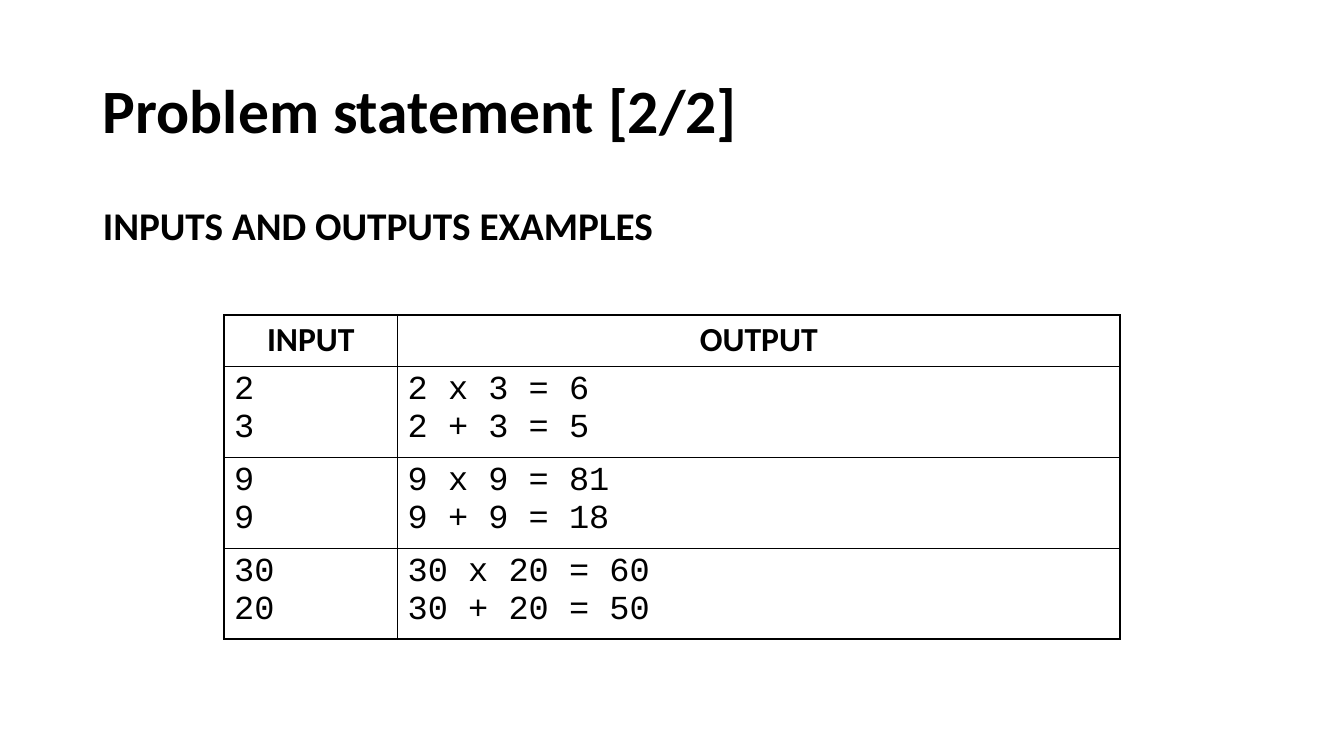
from dataclasses import dataclass

from lxml.etree import SubElement
from pptx import Presentation
from pptx.dml.color import RGBColor
from pptx.enum.text import MSO_ANCHOR as Anchor, PP_ALIGN as Align
from pptx.oxml.ns import qn
from pptx.util import Inches, Pt


@dataclass(frozen=True)
class Theme:
    ink: str = "000000"
    paper: str = "FFFFFF"
    text_font: str = "Calibri"
    code_font: str = "Courier New"
    title_size: int = 44
    heading_size: int = 28
    table_size: int = 24
    border_width: int = 1


class SlideBuilder:
    COLUMNS = ROWS = 12

    def __init__(self, deck, theme):
        self.theme = theme
        self.column = deck.slide_width / self.COLUMNS
        self.row = deck.slide_height / self.ROWS
        self.slide = deck.slides.add_slide(deck.slide_layouts[6])
        background = self.slide.background.fill
        background.solid()
        background.fore_color.rgb = RGBColor.from_string(theme.paper)

    def place(self, left, top, width, height):
        return (round(left * self.column), round(top * self.row),
                round(width * self.column), round(height * self.row))

    def style(self, paragraph, size, family, bold):
        font = paragraph.font
        font.size, font.name, font.bold = Pt(size), family, bold
        font.color.rgb = RGBColor.from_string(self.theme.ink)

    def text(self, wording, box, size, anchor=Anchor.TOP, space_before=0):
        frame = self.slide.shapes.add_textbox(*self.place(*box)).text_frame
        frame.word_wrap = True
        frame.vertical_anchor = anchor
        paragraph = frame.paragraphs[0]
        paragraph.text = wording
        paragraph.line_spacing = 0.9
        paragraph.space_before = Pt(space_before)
        self.style(paragraph, size, self.theme.text_font, True)

    def border(self, cell):
        properties = cell._tc.get_or_add_tcPr()
        for position, side in enumerate(("lnL", "lnR", "lnT", "lnB")):
            line = SubElement(properties, qn(f"a:{side}"),
                              w=str(Pt(self.theme.border_width)))
            fill = SubElement(line, qn("a:solidFill"))
            SubElement(fill, qn("a:srgbClr"), val=self.theme.ink)
            properties.remove(line)
            properties.insert(position, line)

    def table(self, records, left, top, widths, heights):
        box = self.place(left, top, sum(widths), sum(heights))
        table = self.slide.shapes.add_table(len(records), len(widths), *box).table
        table.horz_banding = False
        for column, width in zip(table.columns, widths):
            column.width = round(width * self.column)
        for number, (row, record, height) in enumerate(zip(table.rows, records, heights)):
            row.height = round(height * self.row)
            header = number == 0
            family = self.theme.text_font if header else self.theme.code_font
            for cell, wording in zip(row.cells, record):
                cell.text = wording
                cell.fill.background()
                self.border(cell)
                for paragraph in cell.text_frame.paragraphs:
                    paragraph.alignment = Align.CENTER if header else Align.LEFT
                    self.style(paragraph, self.theme.table_size, family, header)


def main():
    deck = Presentation()
    deck.slide_width, deck.slide_height = Inches(13.33), Inches(7.5)
    theme = Theme()
    page = SlideBuilder(deck, theme)

    page.text("Problem statement [2/2]", (0.83, 0.64, 10.35, 2.32),
              theme.title_size, Anchor.MIDDLE)
    page.text("INPUTS AND OUTPUTS EXAMPLES", (0.83, 3.2, 10.35, 7.62),
              theme.heading_size, space_before=10)

    examples = [
        ("INPUT", "OUTPUT"),
        ("2\n3", "2 x 3 = 6\n2 + 3 = 5"),
        ("9\n9", "9 x 9 = 81\n9 + 9 = 18"),
        ("30\n20", "30 x 20 = 60\n30 + 20 = 50"),
    ]
    page.table(examples, left=2, top=5, widths=(1.55, 6.45),
               heights=(0.82, 1.37, 1.37, 1.37))
    deck.save("out.pptx")


if __name__ == "__main__":
    main()
